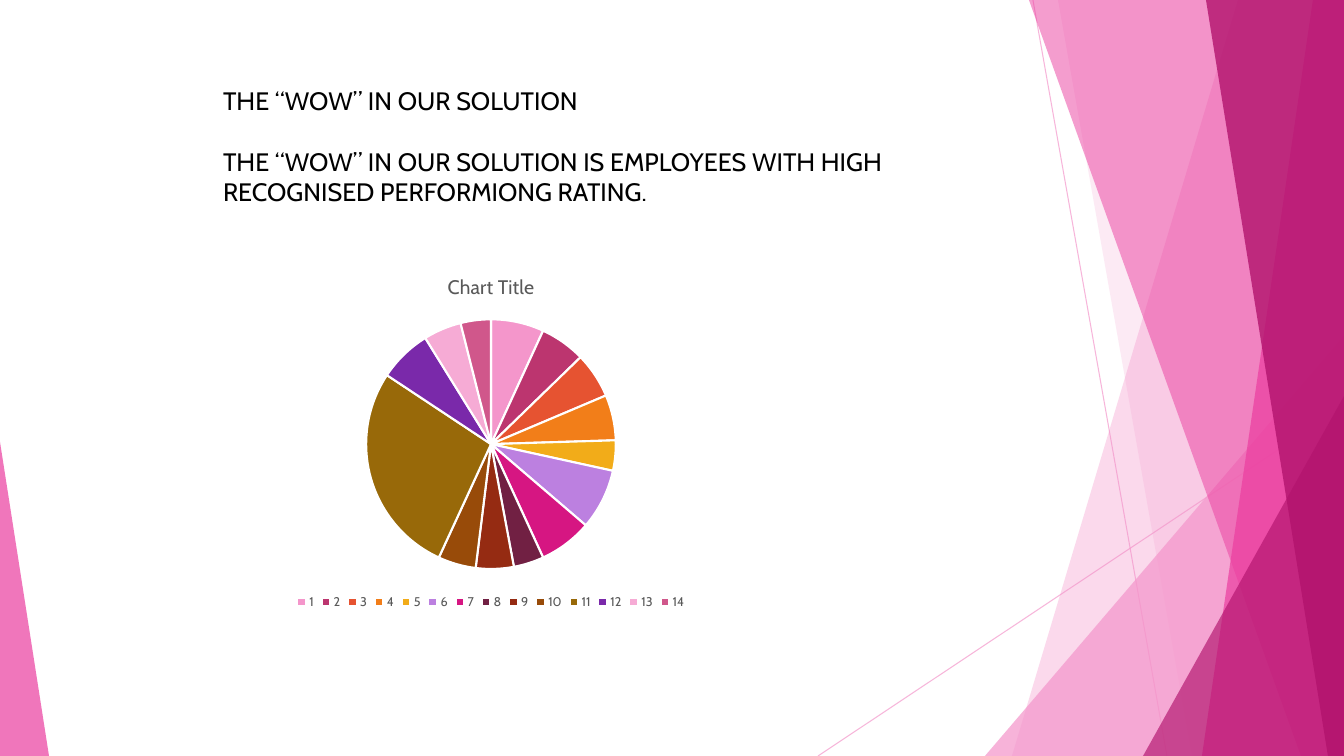
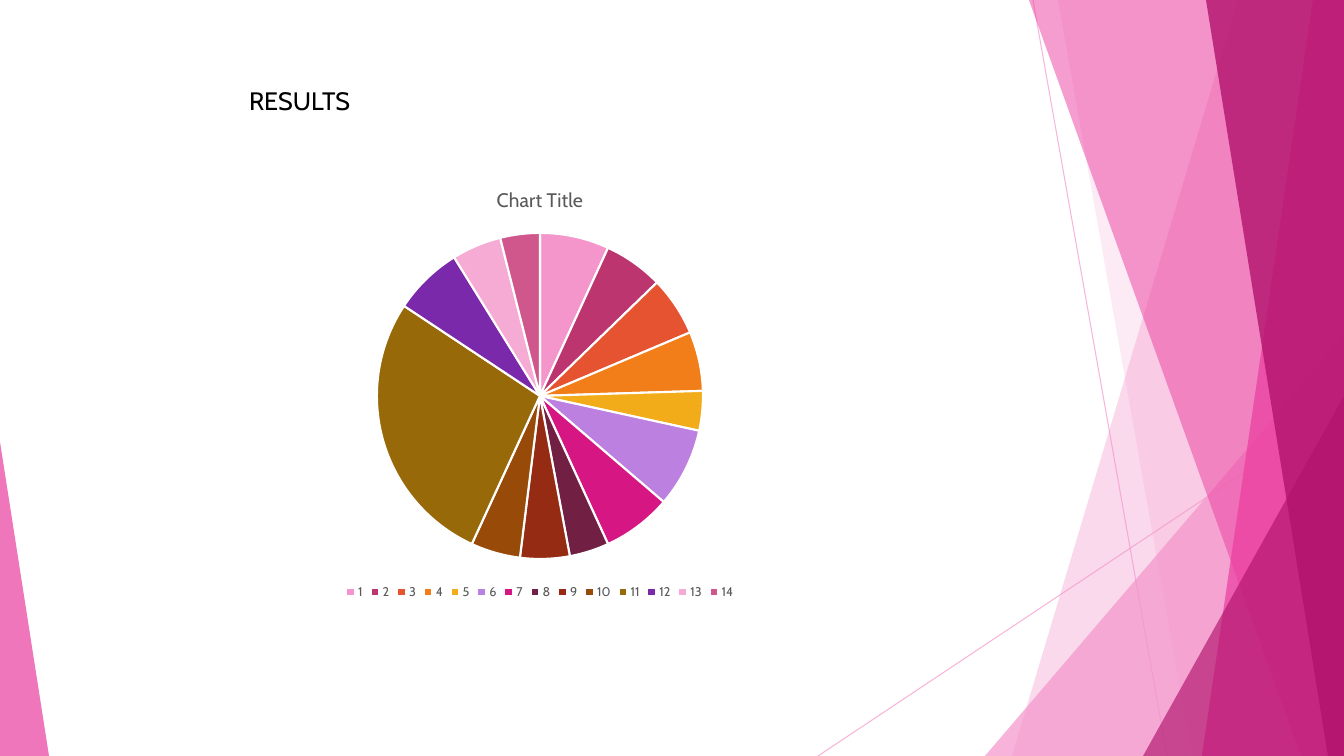
from lxml import etree
from pptx import Presentation
from pptx import util as u
from pptx.chart import data
from pptx.dml.color import RGBColor
from pptx.enum import chart as charts, shapes, text
from pptx.oxml import ns

WIDTH, HEIGHT = 1344, 756
SCALE = 12192000 / WIDTH
FONT = "Cabin"

BLACK = RGBColor(0x00, 0x00, 0x00)
WHITE = RGBColor(0xFF, 0xFF, 0xFF)
GREY = RGBColor(0x59, 0x59, 0x59)
PINK = RGBColor(0xF4, 0x96, 0xCB)
MAGENTA = RGBColor(0xEB, 0x3D, 0x9F)
BERRY = RGBColor(0xB2, 0x13, 0x6D)
SLICE_COLOURS = [PINK] + [RGBColor.from_string(code) for code in (
    "BC356F", "E65331", "F27E19", "F2AC19", "BC80E0", "D61682", "712043",
    "952B12", "984B09", "986909", "7A29AA", "F6ABD5", "D0578B")]
RATINGS = [7, 6, 6, 6, 4, 8, 7, 4, 5, 5, 28, 7, 5, 4]

# Facets, back to front. Bands: top left, bottom left; both run to the right edge.
BACK_BANDS = [(1238, 1012, PINK, 36), (1058, 1192, PINK, 20)]
FRONT_BANDS = [(1029, 1301, MAGENTA, 50), (1313, 1202, MAGENTA, 70),
               (1206, 1328, BERRY, 80)]
LINES = [(1033, 0, 1167, HEIGHT), (WIDTH, 406, 818, HEIGHT)]


def px(length):
    return u.Emu(round(length * SCALE))


def box_emu(box):
    return [px(length) for length in box]


def set_alpha(fill, percent):
    """Make the solid colour of a fill partly transparent."""
    for colour in fill._xPr.iter(ns.qn("a:srgbClr")):
        etree.SubElement(colour, ns.qn("a:alpha")).set("val", str(percent * 1000))


def paint(shape, colour, percent):
    shape.shadow.inherit = False
    shape.line.fill.background()
    shape.fill.solid()
    shape.fill.fore_color.rgb = colour
    set_alpha(shape.fill, percent)


def add_ray(group, x1, y1, x2, y2):
    ray = group.shapes.add_connector(shapes.MSO_CONNECTOR.STRAIGHT,
                                     *box_emu((x1, y1, x2, y2)))
    ray.line.width = u.Pt(0.75)
    ray.line.color.rgb = PINK
    set_alpha(ray.line.fill, 70)
    properties = ray.element.find(ns.qn("p:spPr"))
    etree.SubElement(properties, ns.qn("a:effectLst"))


def add_band(group, top_left, bottom_left, colour, percent):
    outline = group.shapes.build_freeform(px(top_left), 0)
    corners = [(WIDTH, 0), (WIDTH, HEIGHT), (bottom_left, HEIGHT)]
    outline.add_line_segments([box_emu(corner) for corner in corners])
    paint(outline.convert_to_shape(), colour, percent)


def add_triangle(group, left, top, right, apex, colour, percent):
    """Triangle standing on the slide's bottom edge."""
    shape = group.shapes.add_shape(
        shapes.MSO_SHAPE.ISOSCELES_TRIANGLE,
        *box_emu((left, top, right - left, HEIGHT - top)))
    shape.adjustments[0] = apex
    paint(shape, colour, percent)


def add_facets(presentation, slide):
    """Draw the facets as one group and hand it to the slide master."""
    group = slide.shapes.add_group_shape()
    for line in LINES:
        add_ray(group, *line)
    for band in BACK_BANDS:
        add_band(group, *band)
    add_triangle(group, 985, 336, WIDTH, 1, PINK, 72)
    for band in FRONT_BANDS:
        add_band(group, *band)
    add_triangle(group, 1143, 396, WIDTH, 1, BERRY, 66)
    add_triangle(group, 0, 442, 49, 0, MAGENTA, 70)
    # Ids must stay unique among the master's own shapes
    for number, properties in enumerate(group.element.iter(ns.qn("p:cNvPr")), 100):
        properties.set("id", str(number))
    presentation.slide_master.shapes.element.insert(2, group.element)


def fill_placeholder(placeholder, box, wording):
    placeholder.left, placeholder.top, placeholder.width, placeholder.height = box_emu(box)
    frame = placeholder.text_frame
    frame.text = wording
    frame.word_wrap = True
    frame.auto_size = text.MSO_AUTO_SIZE.NONE
    frame.vertical_anchor = text.MSO_ANCHOR.TOP
    paragraph = frame.paragraphs[0]
    paragraph.alignment = text.PP_ALIGN.LEFT
    paragraph.space_before = u.Pt(0)
    # No bullet and no hanging indent
    properties = paragraph._p.get_or_add_pPr()
    properties.set("marL", "0")
    properties.set("indent", "0")
    etree.SubElement(properties, ns.qn("a:buNone"))
    style(paragraph.runs[0].font, 18, BLACK)


def style(font, size, colour):
    font.name = FONT
    font.size = u.Pt(size)
    font.bold = False
    font.color.rgb = colour


def add_ratings_pie(slide, box):
    chart_data = data.CategoryChartData()
    chart_data.categories = [str(n) for n in range(1, len(RATINGS) + 1)]
    chart_data.add_series("Series 1", RATINGS)
    chart = slide.shapes.add_chart(charts.XL_CHART_TYPE.PIE, *box_emu(box),
                                   chart_data).chart
    style(chart.font, 10, BLACK)
    # Title and legend
    chart.has_title = True
    chart.chart_title.include_in_layout = False
    title = chart.chart_title.text_frame
    title.text = "Chart Title"
    style(title.paragraphs[0].runs[0].font, 14, GREY)
    chart.has_legend = True
    chart.legend.position = charts.XL_LEGEND_POSITION.BOTTOM
    chart.legend.include_in_layout = False
    style(chart.legend.font, 9, GREY)
    # Slices
    plot = chart.plots[0]
    plot.vary_by_categories = True
    for index, colour in enumerate(SLICE_COLOURS):
        slice_format = plot.series[0].points[index].format
        slice_format.fill.solid()
        slice_format.fill.fore_color.rgb = colour
        slice_format.line.color.rgb = WHITE
        slice_format.line.width = u.Pt(1.5)


def add_solution_slide(presentation):
    slide = presentation.slides.add_slide(presentation.slide_layouts[1])
    fill_placeholder(slide.shapes.title, (213, 80, 691, 40),
                     "THE “WOW” IN OUR SOLUTION")
    fill_placeholder(slide.placeholders[1], (213, 141, 691, 71),
                     "THE “WOW” IN OUR SOLUTION IS EMPLOYEES WITH HIGH "
                     "RECOGNISED PERFORMIONG RATING.")
    add_ratings_pie(slide, (174, 257, 634, 357))
    return slide


def add_results_slide(presentation):
    slide = presentation.slides.add_slide(presentation.slide_layouts[5])
    fill_placeholder(slide.shapes.title, (239, 80, 455, 40), "RESULTS")
    add_ratings_pie(slide, (209, 169, 662, 435))


def main():
    presentation = Presentation()
    presentation.slide_width, presentation.slide_height = px(WIDTH), px(HEIGHT)
    solution_slide = add_solution_slide(presentation)
    add_facets(presentation, solution_slide)
    add_results_slide(presentation)
    presentation.save("out.pptx")


if __name__ == "__main__":
    main()
